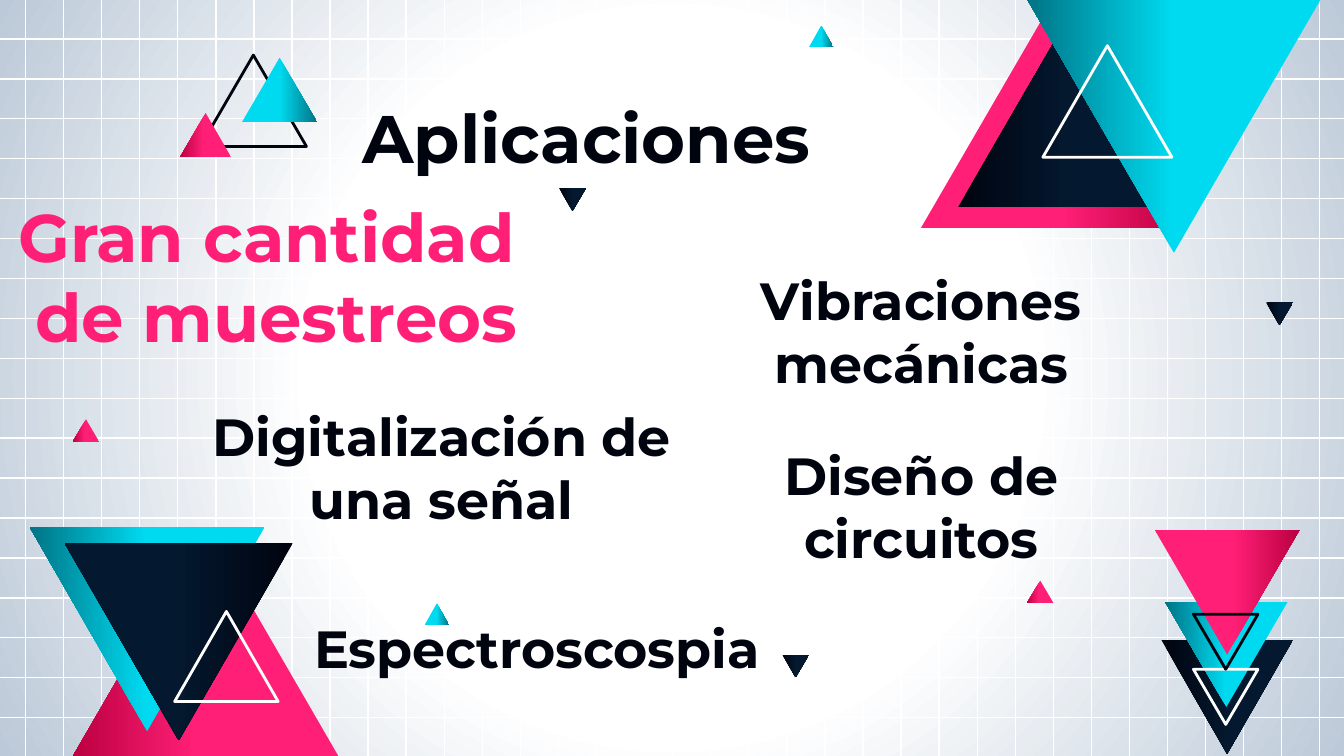
import copy

import pptx
import pptx.dml.color
import pptx.enum.shapes
import pptx.enum.text
import pptx.oxml
import pptx.oxml.ns
import pptx.util
from pptx.util import Inches

INK, PINK, WHITE = "00040F", "FF1F76", "FFFFFF"
PINK_STOPS = [(0, PINK), (0.54, PINK), (1, "BB0040")]
NAVY_STOPS = [(0, INK), (0.54, "041930"), (1, "041930")]
CYAN_STOPS = [(0, "00DAF0"), (0.5, "00DAF0"), (1, "007485")]
GRADIENTS = {
    "pink": (180, PINK_STOPS),
    "pink mirrored": (0, PINK_STOPS),
    "navy": (180, NAVY_STOPS),
    "navy mirrored": (0, NAVY_STOPS),
    "cyan": (0, CYAN_STOPS),
}
OUTLINES = {"white": WHITE, "ink": INK}


def rgb(value):
    return pptx.dml.color.RGBColor.from_string(value)


def set_gradient(fill, element, stops):
    fill.gradient()
    gs_list = element.find(".//" + pptx.oxml.ns.qn("a:gsLst"))
    gs_list.append(copy.deepcopy(gs_list[-1]))
    for stop, (position, color) in zip(fill.gradient_stops, stops):
        stop.position = position
        stop.color.rgb = rgb(color)


prs = pptx.Presentation()
prs.slide_width = Inches(10)
prs.slide_height = Inches(10 * 9 / 16)
s = prs.slides.add_slide(prs.slide_layouts[5])

set_gradient(s.background.fill, s._element, [(0, WHITE), (0.47, WHITE), (1, "BCC9D8")])
lin = s._element.find(".//" + pptx.oxml.ns.qn("a:lin"))
radial = pptx.oxml.parse_xml(
    f'<a:path {pptx.oxml.ns.nsdecls("a")} path="circle">'
    '<a:fillToRect l="50000" t="50000" r="50000" b="50000"/></a:path>'
)
lin.getparent().replace(lin, radial)

columns = [0.19 + 9.63 * i / 34 for i in range(35)]
rows = [0.29 + 5.05 * i / 17 for i in range(18)]
grid_lines = [(x, -0.01, x, 5.66) for x in columns]
grid_lines += [(-0.1, y, 10.11, y) for y in rows]
grid = s.shapes.add_group_shape()
for ends in grid_lines:
    line = grid.shapes.add_connector(
        pptx.enum.shapes.MSO_CONNECTOR.STRAIGHT, *map(Inches, ends)
    )
    line.line.color.rgb = rgb(WHITE)
    line.line.width = pptx.util.Pt(0.75)
    line._element.spPr.append(pptx.oxml.parse_xml(f'<a:effectLst {pptx.oxml.ns.nsdecls("a")}/>'))

clusters = [
    [(0.54, 3.12, 0.2, 0.17, 0, "pink")],
    [(9.42, 2.25, 0.2, 0.17, 180, "navy")],
    [(6.02, 0.19, 0.18, 0.16, 0, "cyan")],
    [(3.16, 4.49, 0.18, 0.16, 0, "cyan")],
    [(5.82, 4.87, 0.2, 0.17, 180, "navy")],
    [
        (6.85, 0.02, 1.95, 1.68, 0, "pink mirrored"),
        (7.13, 0.18, 1.58, 1.36, 0, "navy mirrored"),
        (7.64, -0.01, 2.19, 1.89, 180, "cyan"),
        (7.76, 0.34, 0.96, 0.83, 0, "white"),
    ],
    [
        (0.54, 3.92, 1.98, 1.71, 0, "pink"),
        (0.22, 3.92, 1.75, 1.52, 180, "cyan"),
        (0.48, 4.04, 1.7, 1.47, 180, "navy mirrored"),
        (1.3, 4.55, 0.77, 0.67, 0, "white"),
    ],
    [(7.64, 4.32, 0.2, 0.17, 0, "pink")],
    [(4.16, 1.4, 0.2, 0.17, 180, "navy")],
    [
        (8.64, 4.76, 0.98, 0.85, 180, "navy"),
        (8.67, 4.48, 0.91, 0.78, 180, "cyan"),
        (8.59, 3.94, 1.08, 0.93, 180, "pink"),
        (8.88, 4.98, 0.48, 0.41, 180, "white"),
        (8.88, 4.57, 0.48, 0.41, 180, "ink"),
    ],
    [
        (1.49, 0.41, 0.79, 0.68, 0, "ink"),
        (1.8, 0.43, 0.56, 0.48, 0, "cyan"),
        (1.34, 0.84, 0.38, 0.33, 0, "pink"),
    ],
]
for cluster in clusters:
    shapes = s.shapes.add_group_shape().shapes if len(cluster) > 1 else s.shapes
    for *box, rotation, style in cluster:
        sp = shapes.add_shape(
            pptx.enum.shapes.MSO_SHAPE.ISOSCELES_TRIANGLE, *map(Inches, box)
        )
        sp.rotation = rotation
        sp.shadow.inherit = False
        if style in GRADIENTS:
            angle, stops = GRADIENTS[style]
            set_gradient(sp.fill, sp._element, stops)
            sp.fill.gradient_angle = angle
            sp.line.fill.background()
        else:
            sp.fill.background()
            sp.line.color.rgb = rgb(OUTLINES[style])
            sp.line.width = pptx.util.Pt(1.5)

title = s.shapes.title
s.shapes._spTree.append(title._element)
texts = [
    (2.42, 0.64, 3.89, 36, INK, "Aplicaciones"),
    (1.34, 3.26, 3.89, 28, INK, "Digitalización de una señal"),
    (-0.64, 1.97, 5.39, 36, PINK, "Gran cantidad \nde muestreos"),
    (2.05, 4.37, 3.89, 28, INK, "Espectroscospia"),
    (4.91, 3.55, 3.89, 28, INK, "Diseño de circuitos"),
    (4.91, 2.25, 3.89, 28, INK, "Vibraciones mecánicas"),
]
for i, (left, top, width, size, color, text) in enumerate(texts):
    sp = title if i == 0 else s.shapes.add_textbox(0, 0, 0, 0)
    sp.left, sp.top = Inches(left), Inches(top)
    sp.width, sp.height = Inches(width), Inches(0.78)
    tf = sp.text_frame
    tf.text = text
    tf.word_wrap = True
    tf.auto_size = pptx.enum.text.MSO_AUTO_SIZE.NONE
    tf.vertical_anchor = pptx.enum.text.MSO_ANCHOR.BOTTOM
    tf.margin_left = tf.margin_right = tf.margin_top = tf.margin_bottom = Inches(0.1)
    for p in tf.paragraphs:
        p.alignment = pptx.enum.text.PP_ALIGN.CENTER
        p.font.name = "Montserrat"
        p.font.size = pptx.util.Pt(size)
        p.font.bold = True
        p.font.color.rgb = rgb(color)

prs.save("out.pptx")
